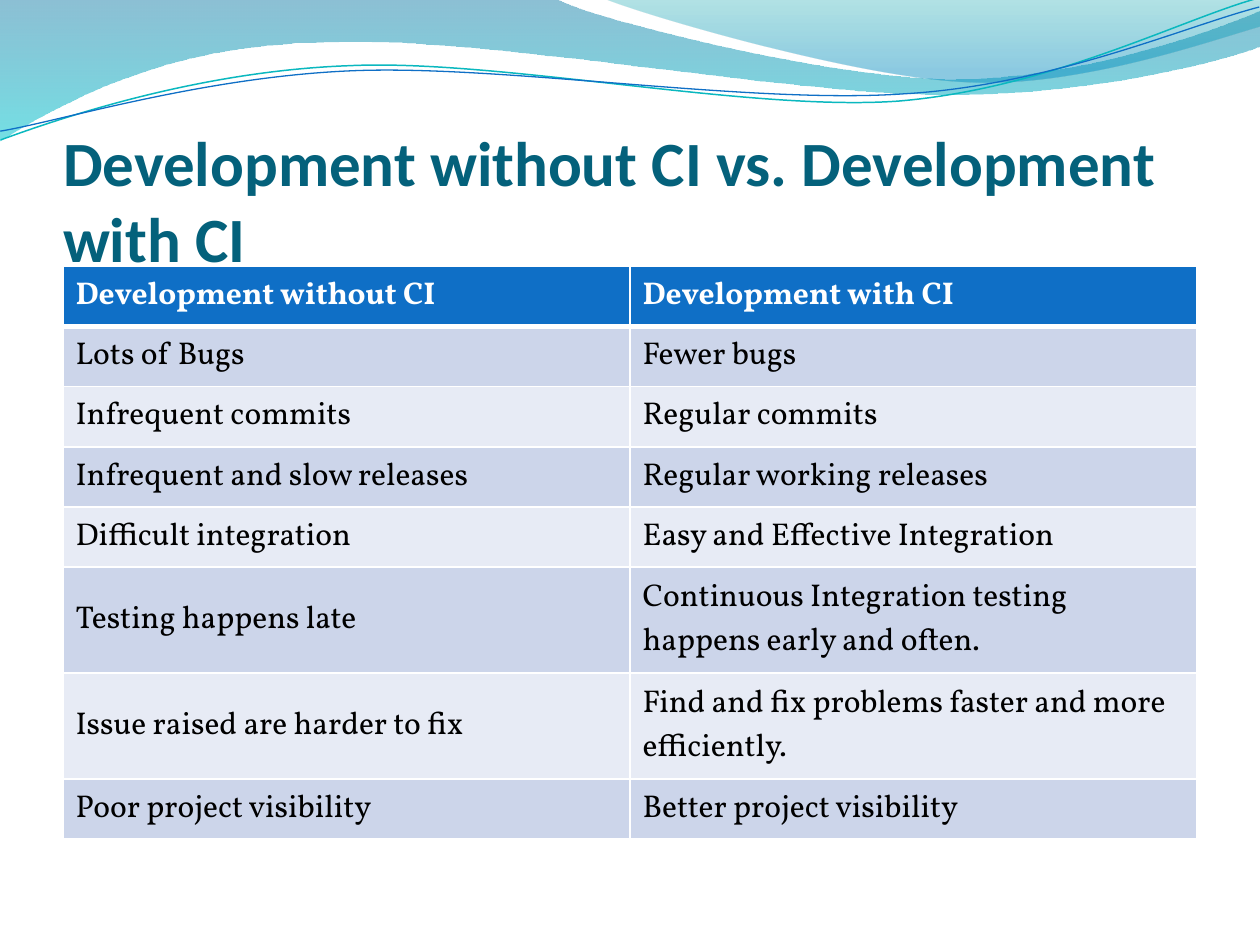
"""Build a slide that compares development without and with CI."""
from lxml.etree import SubElement
from pptx import Presentation
from pptx.dml.color import RGBColor
from pptx.enum.text import MSO_ANCHOR, MSO_AUTO_SIZE, PP_ALIGN
from pptx.oxml.ns import qn
from pptx.util import Pt

WHITE = RGBColor(0xFF, 0xFF, 0xFF)
BLACK = RGBColor(0, 0, 0)
BLUE = RGBColor(0x0F, 0x6F, 0xC6)
TEAL = RGBColor(0x0A, 0xB8, 0xBF)
NAVY = RGBColor(0x04, 0x61, 0x7B)
BANDS = [RGBColor(0xE7, 0xEB, 0xF5), RGBColor(0xCC, 0xD5, 0xEA)]
DEEP = RGBColor(0x00, 0x74, 0xA1)
CYAN = RGBColor(0x00, 0xC6, 0xCF)
GREEN = RGBColor(0x00, 0xA1, 0xA9)
SKY = RGBColor(0x00, 0x8B, 0xBF)

deck = Presentation()
deck.slide_width, deck.slide_height = Pt(720), Pt(540)
slide = deck.slides.add_slide(deck.slide_layouts[5])
shapes = slide.shapes


def trace(parts, closed):
    """Draw a shape from points and cubic curves given in points."""
    dots = [part[k:k + 2] for part in parts for k in range(0, len(part), 2)]
    pen = shapes.build_freeform(*dots[0], scale=Pt(1))
    pen.add_line_segments(dots[1:], close=closed)
    shape = pen.convert_to_shape()
    shape.shadow.inherit = False
    lines = shape.element.iter(qn("a:lnTo"))
    lines = iter(list(lines))
    for part in parts[1:]:
        first = next(lines)
        if len(part) == 6:
            first.tag = qn("a:cubicBezTo")
            for line in (next(lines), next(lines)):
                first.append(line[0])
                line.getparent().remove(line)
    return shape


waves = [
    ([(0, -0.7), (316.8, -0.7), (342.7, 12.2, 478.1, 45.4, 545.8, 45.4),
      (614.2, 45.4, 689.8, 18.7, 720, 6.5), (720.7, 25.9),
      (707.8, 31.7, 626.4, 54.7, 537.1, 54),
      (447.8, 54, 275, 20.2, 185, 24.5), (92.9, 25.2, 33.1, 59.8, -0.7, 81.4),
      (0, -0.7)],
     [(0, DEEP, 45), (1, CYAN, 55)]),
    ([(344.9, -0.7), (366.5, 7.9, 491, 44.6, 553.7, 46.8),
      (616.3, 49.7, 691.9, 23, 720, 15.1), (720, 0), (344.9, -0.7)],
     [(0, GREEN, 30), (0.8, SKY, 45)]),
]
for parts, stops in waves:
    wave = trace(parts, True)
    wave.line.fill.background()
    wave.fill.gradient()
    wave.fill.gradient_angle = 270
    for stop, (place, color, alpha) in zip(wave.fill.gradient_stops, stops):
        stop.position = place
        stop.color.rgb = color
    tints = wave.element.spPr.iter(qn("a:srgbClr"))
    for tint, (place, color, alpha) in zip(tints, stops):
        SubElement(tint, qn("a:alpha"), val=str(alpha * 1000))

curves = [
    ([(-1.4, 62.9), (33.7, 51.6, 114, 29.4, 199.8, 29.9),
      (284.8, 30.3, 425.8, 67.2, 512.4, 64.9),
      (599, 62.4, 676.4, 25.7, 720, 15.6)], TEAL, 0.85),
    ([(-1.2, 57.9), (33, 53.8, 118.3, 32.5, 204, 33),
      (290.5, 33.5, 429, 63.1, 515.5, 61.3),
      (601.4, 59.6, 678.5, 30.1, 721.4, 21.4)], BLUE, 0.75),
]
for parts, color, width in curves:
    curve = trace(parts, False)
    curve.rotation = 357.3
    curve.fill.background()
    curve.line.color.rgb = color
    curve.line.width = Pt(width)

title = shapes.title
title.element.getparent().append(title.element)
title.left, title.top = Pt(36), Pt(55.5)
title.width, title.height = Pt(654.5), Pt(161.5)
frame = title.text_frame
frame.word_wrap = True
frame.auto_size = MSO_AUTO_SIZE.NONE
frame.vertical_anchor = MSO_ANCHOR.BOTTOM
frame.margin_left = frame.margin_right = 0
frame.margin_top, frame.margin_bottom = Pt(3.6), Pt(60)
para = frame.paragraphs[0]
para.alignment = PP_ALIGN.LEFT
run = para.add_run()
run.text = "Development without CI vs. Development with CI"
run.font.name, run.font.size, run.font.bold = "Calibri", Pt(36), True
run.font.color.rgb = NAVY

rows = [
    ("Development without CI", "Development with CI"),
    ("Lots of Bugs", "Fewer bugs"),
    ("Infrequent commits", "Regular commits"),
    ("Infrequent and slow releases", "Regular working releases"),
    ("Difficult integration", "Easy and Effective Integration"),
    ("Testing happens late",
     "Continuous Integration testing happens early and often."),
    ("Issue raised are harder to fix",
     "Find and fix problems faster and more efficiently."),
    ("Poor project visibility", "Better project visibility"),
]
tall = (5, 6)
table = shapes.add_table(len(rows), 2, Pt(36), Pt(152.2), Pt(648), Pt(327.4)).table
for col in table.columns:
    col.width = Pt(324)
for i, texts in enumerate(rows):
    head = i == 0
    table.rows[i].height = Pt(60.5 if i in tall else 34.4)
    for j, text in enumerate(texts):
        cell = table.cell(i, j)
        cell.vertical_anchor = MSO_ANCHOR.MIDDLE
        props = cell._tc.get_or_add_tcPr()
        for side in "LRTB":
            thick = (i, side) in ((0, "B"), (1, "T"))
            edge = SubElement(props, qn("a:ln" + side), w=str(Pt(3 if thick else 1)))
            SubElement(SubElement(edge, qn("a:solidFill")), qn("a:srgbClr"), val=str(WHITE))
        cell.fill.solid()
        cell.fill.fore_color.rgb = BLUE if head else BANDS[i % 2]
        run = cell.text_frame.paragraphs[0].add_run()
        run.text = text
        run.font.name, run.font.size, run.font.bold = "Vollkorn", Pt(18), head
        run.font.color.rgb = WHITE if head else BLACK

deck.save("out.pptx")
